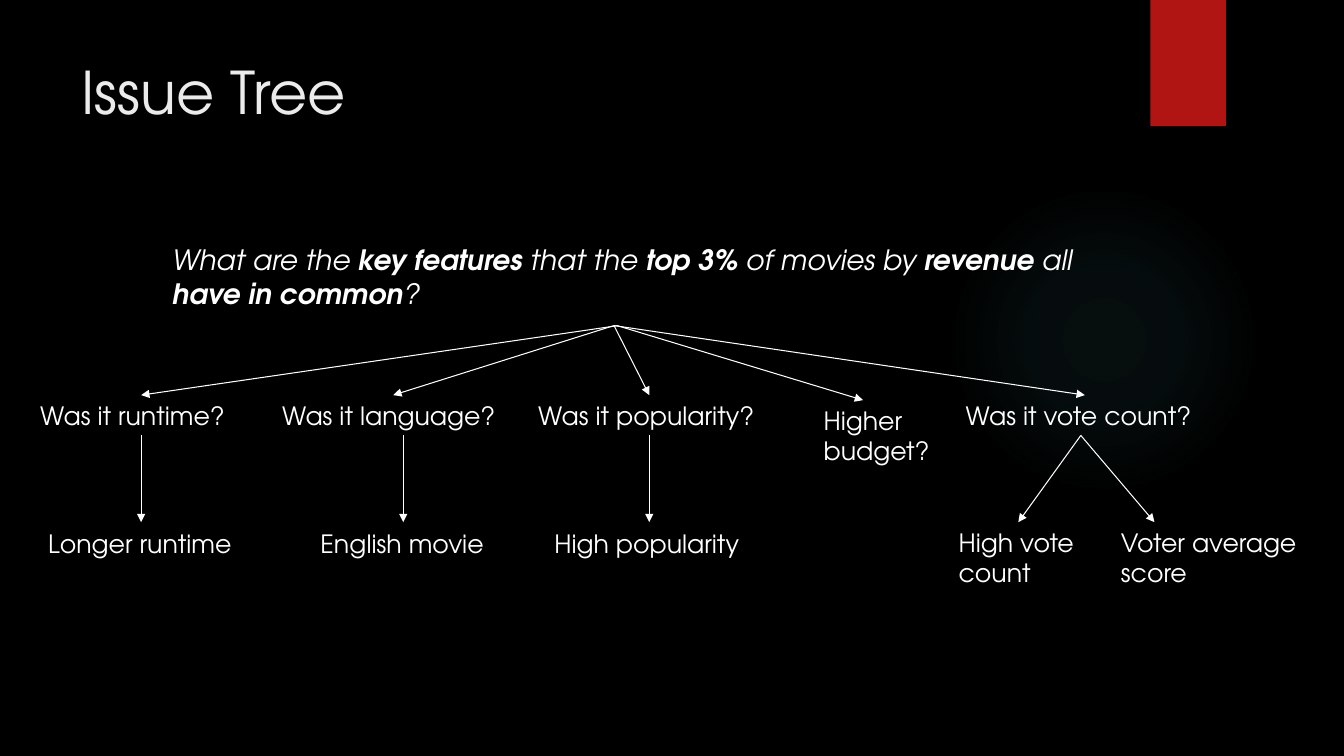
from lxml import etree
from pptx import Presentation
from pptx.dml.color import RGBColor
from pptx.enum.shapes import MSO_CONNECTOR, MSO_SHAPE
from pptx.enum.text import MSO_ANCHOR
from pptx.oxml import parse_xml
from pptx.oxml.ns import nsdecls, qn
from pptx.util import Inches, Pt

STRAIGHT = MSO_CONNECTOR.STRAIGHT
ELLIPSE, RECTANGLE = MSO_SHAPE.OVAL, MSO_SHAPE.RECTANGLE
TOP = MSO_ANCHOR.TOP

FONT = "TeX Gyre Adventor"
BLACK, WHITE, OFF_WHITE = "000000", "FFFFFF", "EBEBEB"
RED, TEAL = "B01513", "50B9C1"
GLOW_STOPS = [(0, 7), (36, 6), (69, 0)]  # position %, opacity %

QUESTION = [
    ("What are the ", False), ("key features ", True), ("that the ", False),
    ("top 3% ", True), ("of movies by", False), (" revenue ", True),
    ("all ", False), ("have in common", True), ("?", False),
]

ROOT_Y, BRANCH_Y, LEAF_Y = 3.23, 3.92, 5.18
ONE_LINE, TWO_LINES = 0.4, 0.71
# Branch: label, box, arrow start x, arrow tip x, fork x, leaves
# Leaf: label, box, arrow tip x
BRANCHES = [
    ("Was it runtime?", (0.3, BRANCH_Y, 2.2, ONE_LINE), 6.13, 1.4, 1.4,
     [("Longer runtime", (0.38, 5.19, 2.08, ONE_LINE), 1.4)]),
    ("Was it language?", (2.7, BRANCH_Y, 2.4, ONE_LINE), 6.09, 3.9, 4,
     [("English movie", (3.08, 5.19, 1.87, ONE_LINE), 4)]),
    ("Was it popularity?", (5.24, BRANCH_Y, 2.4, ONE_LINE), 6.09, 6.44, 6.44,
     [("High popularity", (5.4, 5.19, 2.04, ONE_LINE), 6.44)]),
    ("Higher budget?", (8.07, 3.97, 1.38, TWO_LINES), 6.12, 8.56, 8.56, []),
    ("Was it vote count?", (9.48, BRANCH_Y, 2.57, ONE_LINE), 6.09, 10.76, 10.72,
     [("High vote count", (9.41, LEAF_Y, 1.41, TWO_LINES), 10.1),
      ("Voter average score", (11.02, LEAF_Y, 2.04, TWO_LINES), 11.45)]),
]


def rgb(value):
    return RGBColor.from_string(value)


def add_text(slide, box, runs, size, color=WHITE, italic=False):
    """Place one paragraph of (words, bold) runs in a wrapping text box."""
    frame = slide.shapes.add_textbox(*map(Inches, box)).text_frame
    frame.word_wrap = True
    frame.vertical_anchor = TOP
    for words, bold in runs:
        run = frame.paragraphs[0].add_run()
        run.text = words
        font_format = {"name": FONT, "size": Pt(size), "bold": bold, "italic": italic}
        for attribute, value in font_format.items():
            setattr(run.font, attribute, value)
        run.font.color.rgb = rgb(color)


def add_plain_shape(slide, kind, box, color):
    shape = slide.shapes.add_shape(kind, *map(Inches, box))
    shape.shadow.inherit = False
    shape.fill.solid()
    shape.fill.fore_color.rgb = rgb(color)
    shape.line.fill.background()
    return shape


def add_glow(slide, box):
    """Draw a faint circle that fades out from its centre."""
    glow = add_plain_shape(slide, ELLIPSE, box, TEAL)
    stops = "".join(
        f'<a:gs pos="{position * 1000}"><a:srgbClr val="{TEAL}">'
        f'<a:alpha val="{opacity * 1000}"/></a:srgbClr></a:gs>'
        for position, opacity in GLOW_STOPS
    )
    gradient = parse_xml(
        f'<a:gradFill {nsdecls("a")} rotWithShape="1"><a:gsLst>{stops}</a:gsLst>'
        '<a:path path="circle"><a:fillToRect l="50000" t="50000" r="50000" b="50000"/>'
        "</a:path></a:gradFill>"
    )
    properties = glow.fill._xPr
    properties.replace(properties.find(qn("a:solidFill")), gradient)


def add_arrow(slide, start, tip):
    arrow = slide.shapes.add_connector(STRAIGHT, *map(Inches, (*start, *tip)))
    arrow.line.color.rgb = rgb(WHITE)
    arrow.line.width = Pt(0.75)
    etree.SubElement(arrow.line._get_or_add_ln(), qn("a:tailEnd"), type="triangle")
    etree.SubElement(arrow._element.spPr, qn("a:effectLst"))


def add_branch(slide, label, box, start_x, tip_x, fork_x, leaves):
    """Draw one sub-question, the arrow to it and its leaves."""
    left, top, width, height = box
    add_text(slide, box, [(label, False)], 18)
    add_arrow(slide, (start_x, ROOT_Y), (tip_x, top))
    for leaf, leaf_box, leaf_x in leaves:
        add_text(slide, leaf_box, [(leaf, False)], 18)
        add_arrow(slide, (fork_x, top + height), (leaf_x, LEAF_Y))


def add_issue_tree_slide(deck):
    slide = deck.slides.add_slide(deck.slide_layouts[6])
    slide.background.fill.solid()
    slide.background.fill.fore_color.rgb = rgb(BLACK)
    add_glow(slide, (9.41, 1.83, 3.08, 3.08))
    add_plain_shape(slide, RECTANGLE, (11.41, 0, 0.75, 1.25), RED)
    add_text(slide, (0.71, 0.5, 10.29, 1.53), [("Issue Tree", False)], 42, OFF_WHITE)
    add_text(slide, (1.61, 2.36, 9.79, 0.74), QUESTION, 20, italic=True)
    for branch in BRANCHES:
        add_branch(slide, *branch)


def main():
    deck = Presentation()
    deck.slide_width, deck.slide_height = Inches(13.33), Inches(7.5)
    add_issue_tree_slide(deck)
    deck.save("out.pptx")


if __name__ == "__main__":
    main()
